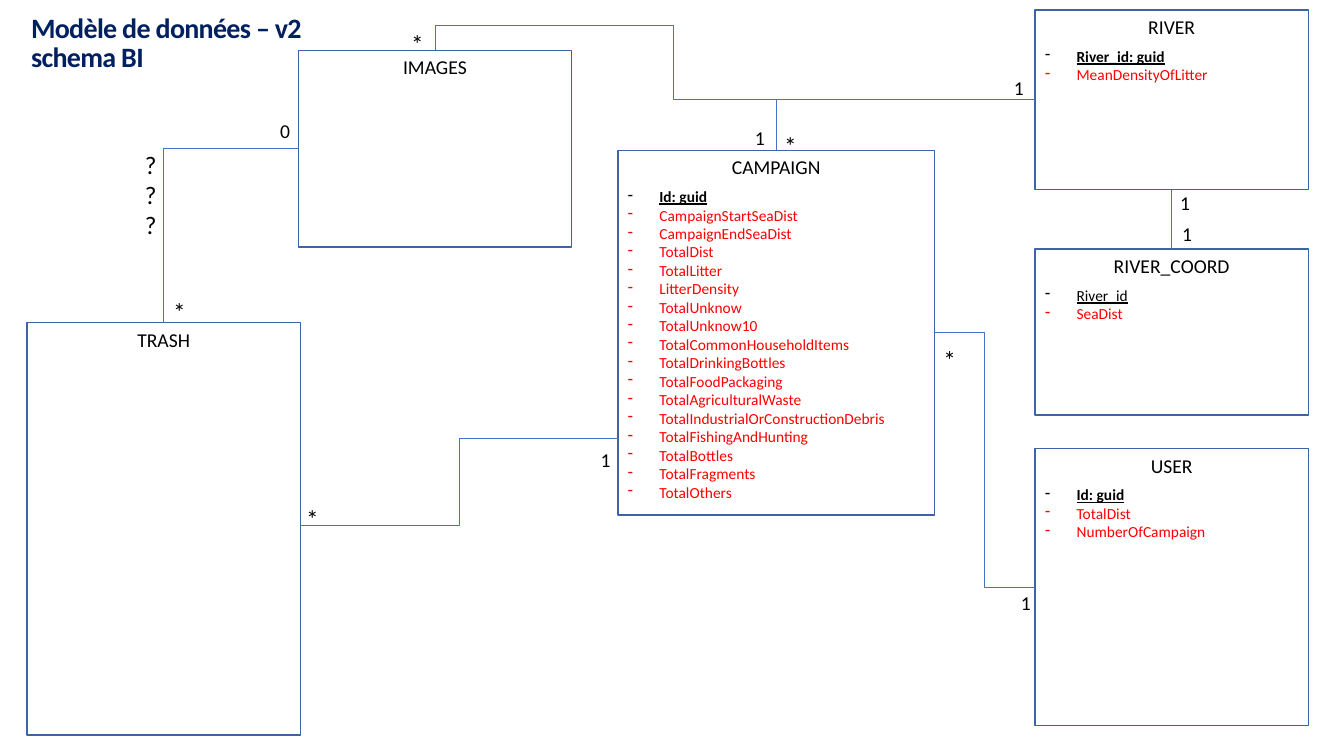
from lxml import etree
from pptx import Presentation
from pptx.dml.color import RGBColor
from pptx.enum import shapes, text
from pptx.oxml.ns import qn
from pptx.util import Pt

THEME = {
    "font": "Calibri",
    "title": RGBColor(0x00, 0x20, 0x60),
    "ink": RGBColor(0x00, 0x00, 0x00),
    "new": RGBColor(0xFF, 0x00, 0x00),
    "border": RGBColor(0x3E, 0x63, 0xA6),
    "link": RGBColor(0x44, 0x72, 0xC4),
    "title_size": 20, "name_size": 14, "field_size": 11, "star_size": 18,
}
TOP, LEFT, BOTTOM, RIGHT = range(4)

# Entities: box (left, top, width, height), key field, key is bold, other fields
ENTITIES = {
    "RIVER": ((739.4, 7.2, 195.1, 128.2), "River_id: guid", True, ["MeanDensityOfLitter"]),
    "TRASH": ((19.4, 230.4, 195.1, 294.5), None, False, []),
    "CAMPAIGN": ((441.4, 107.3, 226.1, 260.6), "Id: guid", True, [
        "CampaignStartSeaDist", "CampaignEndSeaDist", "TotalDist", "TotalLitter",
        "LitterDensity", "TotalUnknow", "TotalUnknow10", "TotalCommonHouseholdItems",
        "TotalDrinkingBottles", "TotalFoodPackaging", "TotalAgriculturalWaste",
        "TotalIndustrialOrConstructionDebris", "TotalFishingAndHunting",
        "TotalBottles", "TotalFragments", "TotalOthers"]),
    "USER": ((739.4, 320.4, 195.1, 198), "Id: guid", True, ["TotalDist", "NumberOfCampaign"]),
    "RIVER_COORD": ((739.4, 177.8, 195.1, 118.8), "River_id", False, ["SeaDist"]),
    "IMAGES": ((213.1, 36, 195.1, 140.4), None, False, []),
}

# Links: each end is (entity, side) or a point; then geometry and its adjustments
LINKS = [
    (("RIVER", LEFT), ("CAMPAIGN", TOP), "bentConnector2", ()),
    ((441.4, 313.2), (214.5, 375.1), "bentConnector3", ()),
    (("CAMPAIGN", RIGHT), ("USER", LEFT), "bentConnector3", ()),
    (("RIVER", BOTTOM), ("RIVER_COORD", TOP), "line", ()),
    ((554.4, 71.3), ("IMAGES", TOP), "bentConnector4", (30000, 151500)),
    (("IMAGES", LEFT), ("TRASH", TOP), "bentConnector2", ()),
]

# Cardinalities: entity, side, text, offset from the middle of that side, height
CARDINALITIES = [
    ("RIVER", LEFT, "1", -22.3, -20.9, 24.2),
    ("RIVER", BOTTOM, "1", -1, -2.9, 24.2),
    ("RIVER_COORD", TOP, "1", 0.4, -23, 24.2),
    ("CAMPAIGN", TOP, "1", -22.4, -20.9, 24.2),
    ("CAMPAIGN", TOP, "*", -1.5, -18, 29),
    ("CAMPAIGN", RIGHT, "*", -0.8, 5, 29),
    ("CAMPAIGN", LEFT, "1", -19.5, 78.5, 24.2),
    ("USER", LEFT, "1", -17.2, -1.1, 24.2),
    ("IMAGES", TOP, "*", -24, -19.4, 29),
    ("IMAGES", LEFT, "0", -20.1, -24.8, 24.2),
    ("TRASH", TOP, "*", -0.4, -22.3, 29),
    ("TRASH", TOP, "???", -20.5, -127.4, 72.7),
    ("TRASH", RIGHT, "*", -2.8, -22, 29),
]


def side_middle(name, side):
    x, y, w, h = ENTITIES[name][0]
    return [(x + w / 2, y), (x, y + h / 2), (x + w / 2, y + h), (x + w, y + h / 2)][side]


def add_run(p, words, size, color, **fmt):
    r = p.add_run()
    r.text = words
    r.font.color.rgb = color
    for key, value in {"name": THEME["font"], "size": Pt(size), **fmt}.items():
        setattr(r.font, key, value)
    return r


def add_box(s, box):
    sp = s.shapes.add_textbox(*map(Pt, box))
    sp.text_frame.word_wrap = True
    return sp.text_frame


def add_title(s, box, lines):
    tf = add_box(s, box)
    for i, line in enumerate(lines):
        p = tf.add_paragraph() if i else tf.paragraphs[0]
        p.line_spacing = 0.85
        r = add_run(p, line, THEME["title_size"], THEME["title"], bold=True)
        r.font._element.set("spc", "-50")


def add_field(tf, words, color, **fmt):
    p = tf.add_paragraph()
    p.alignment = text.PP_ALIGN.LEFT
    pPr = p._p.get_or_add_pPr()
    pPr.set("marL", str(Pt(22.5)))
    pPr.set("indent", str(-Pt(22.5)))
    etree.SubElement(pPr, qn("a:buChar")).set("char", "-")
    add_run(p, words, THEME["field_size"], color, **fmt)


def add_entity(s, name, box, key, key_bold, fields):
    sp = s.shapes.add_shape(shapes.MSO_SHAPE.RECTANGLE, *map(Pt, box))
    sp.shadow.inherit = False
    sp.fill.background()
    sp.line.color.rgb = THEME["border"]
    sp.line.width = Pt(1)
    tf = sp.text_frame
    tf.word_wrap = True
    tf.vertical_anchor = text.MSO_ANCHOR.TOP
    p = tf.paragraphs[0]
    p.alignment = text.PP_ALIGN.CENTER
    p.space_after = Pt(6)
    add_run(p, name, THEME["name_size"], THEME["ink"])
    if key:
        add_field(tf, key, THEME["ink"], bold=key_bold, underline=True)
    for field in fields:
        add_field(tf, field, THEME["new"])
    return sp


def add_link(s, entities, begin, end, geometry, adjustments):
    glued = [isinstance(stop[0], str) for stop in (begin, end)]
    points = [side_middle(*stop) if on else stop for stop, on in zip((begin, end), glued)]
    kind = shapes.MSO_CONNECTOR.STRAIGHT if geometry == "line" else shapes.MSO_CONNECTOR.ELBOW
    c = s.shapes.add_connector(kind, *(Pt(v) for point in points for v in point))
    for on, stop, connect in zip(glued, (begin, end), (c.begin_connect, c.end_connect)):
        if on:
            connect(entities[stop[0]], stop[1])
    c.line.color.rgb = THEME["link"]
    c.line.width = Pt(0.5)
    spPr = c._element.spPr
    etree.SubElement(spPr, qn("a:effectLst"))
    geom = spPr.find(qn("a:prstGeom"))
    geom.set("prst", geometry)
    for i, value in enumerate(adjustments, 1):
        gd = etree.SubElement(geom.find(qn("a:avLst")), qn("a:gd"))
        gd.set("name", f"adj{i}")
        gd.set("fmla", f"val {value}")


def add_cardinality(s, name, side, words, dx, dy, height):
    x, y = side_middle(name, side)
    tf = add_box(s, (x + dx, y + dy, 24.5, height))
    tf.auto_size = text.MSO_AUTO_SIZE.SHAPE_TO_FIT_TEXT
    size = THEME["name_size"] if words.isdigit() else THEME["star_size"]
    add_run(tf.paragraphs[0], words, size, THEME["ink"])


def main():
    prs = Presentation()
    prs.slide_width, prs.slide_height = Pt(960), Pt(540)
    s = prs.slides.add_slide(prs.slide_layouts[6])
    add_title(s, (15.1, 7.9, 929.5, 33.8), ["Modèle de données – v2", "schema BI"])
    entities = {name: add_entity(s, name, *parts) for name, parts in ENTITIES.items()}
    for link in LINKS:
        add_link(s, entities, *link)
    for cardinality in CARDINALITIES:
        add_cardinality(s, *cardinality)
    prs.save("out.pptx")


if __name__ == "__main__":
    main()
